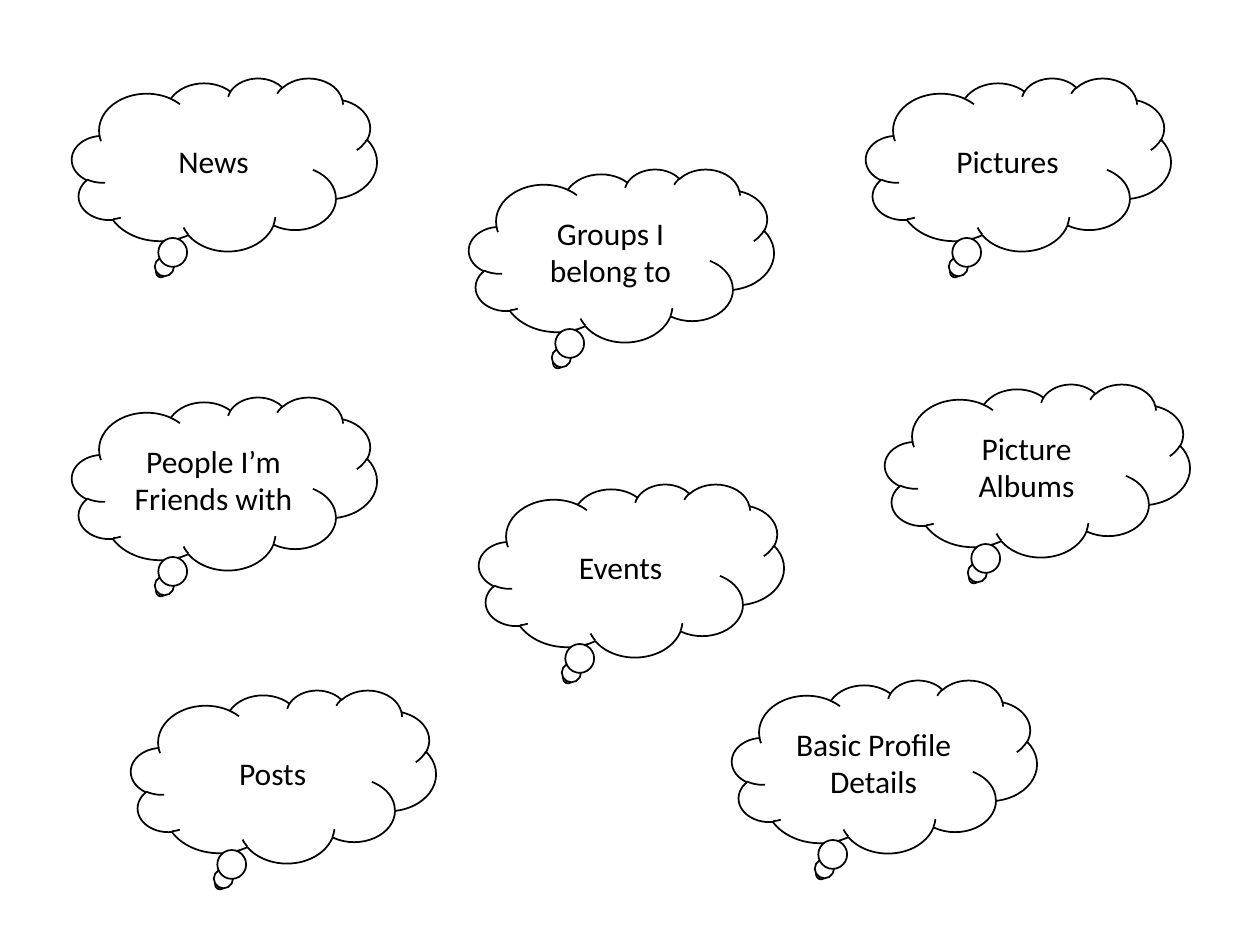
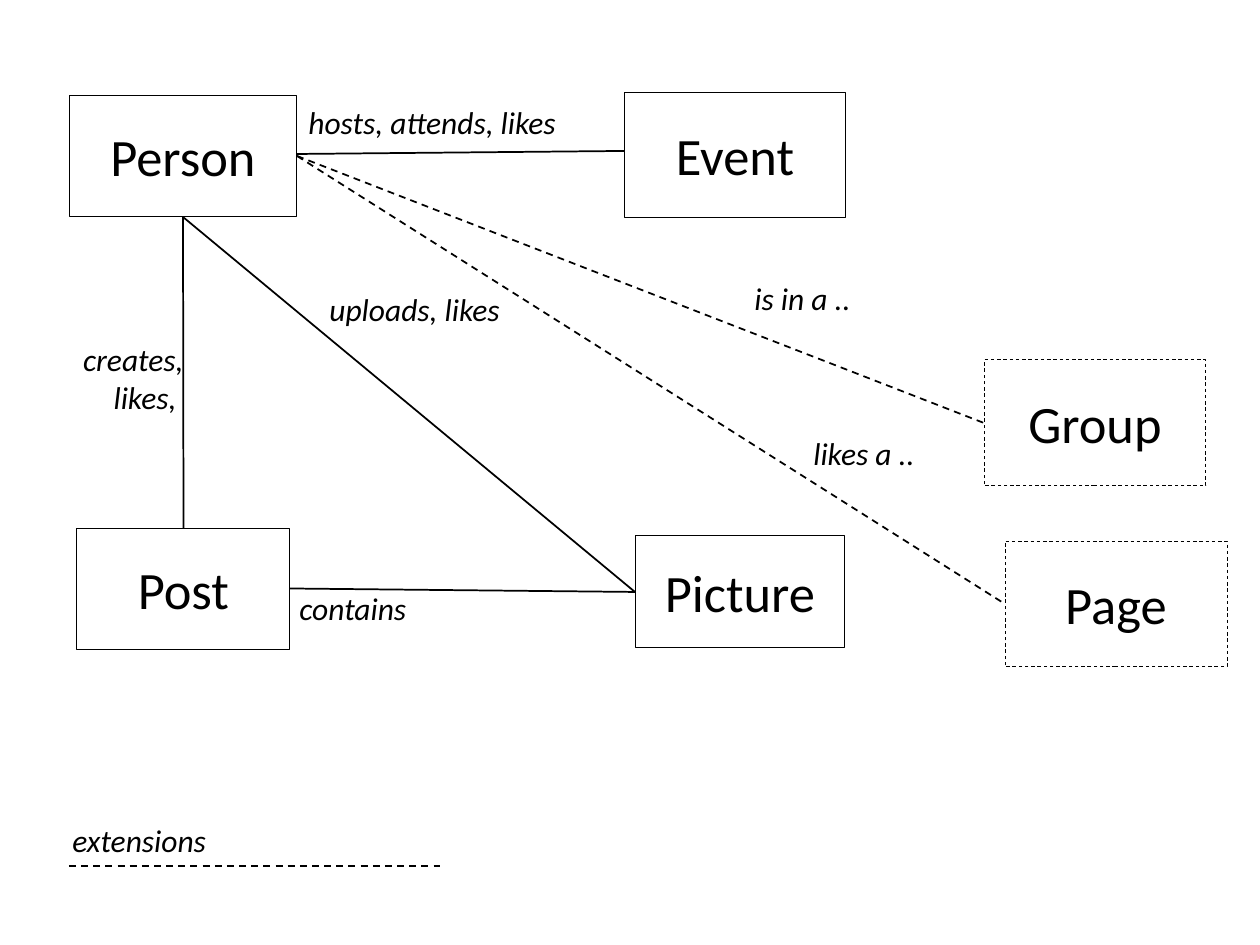
"""Builds two slides: a cloud of profile ideas and the entity diagram made from them."""
from lxml import etree
from pptx import Presentation
from pptx.dml.color import RGBColor
from pptx.enum.dml import MSO_LINE
from pptx.enum.shapes import MSO_CONNECTOR, MSO_SHAPE
from pptx.enum.text import MSO_ANCHOR, MSO_AUTO_SIZE, PP_ALIGN
from pptx.oxml.ns import qn
from pptx.util import Emu, Pt

CLOUD, RECTANGLE = MSO_SHAPE.CLOUD_CALLOUT, MSO_SHAPE.RECTANGLE
STRAIGHT, DASH = MSO_CONNECTOR.STRAIGHT, MSO_LINE.DASH
LEFT, CENTER, RIGHT = PP_ALIGN.LEFT, PP_ALIGN.CENTER, PP_ALIGN.RIGHT
MIDDLE, GROW = MSO_ANCHOR.MIDDLE, MSO_AUTO_SIZE.SHAPE_TO_FIT_TEXT

COLORS = {"ink": "000000", "paper": "FFFFFF"}
FONT = "Calibri"
SCALE = 914400 / 126
SMALL, LARGE = 18, 30

CLOUD_SIZE = (305, 173)
IDEAS = [
    ("Posts", 131, 690),
    ("Pictures", 866, 78),
    ("Picture Albums", 885, 384),
    ("News", 72, 78),
    ("Events", 479, 484),
    ("Basic Profile Details", 732, 680),
    ("People I\u2019m Friends with", 72, 397),
    ("Groups I belong to", 469, 169),
]

ENTITIES = {
    "Person": ((69, 95, 228, 122), False),
    "Picture": ((635, 536, 210, 112), False),
    "Post": ((77, 528, 213, 121), False),
    "Event": ((624, 92, 222, 126), False),
    "Group": ((984, 360, 222, 126), True),
    "Page": ((1005, 541, 222, 126), True),
}
LINKS = [
    ("Person", "bottom", "Post", "top"),
    ("Person", "right", "Event", "left"),
    ("Person", "bottom", "Picture", "left"),
    ("Post", "right", "Picture", "left"),
    ("Person", "right", "Group", "left"),
    ("Person", "right", "Page", "left"),
]
LIFTS = {"Event": (2, 4)}
LEGEND_LINE = ((69, 866), (445, 866))
LABELS = [
    (["hosts, attends, likes"], (296, 97, 285, 50), LEFT),
    (["uploads, likes"], (317, 284, 207, 50), LEFT),
    (["creates,", "likes, "], (60, 334, 136, 89), RIGHT),
    (["contains"], (287, 583, 142, 50), LEFT),
    (["is in a .. "], (742, 273, 131, 50), LEFT),
    (["likes a .."], (801, 428, 136, 50), LEFT),
    (["extensions"], (60, 815, 169, 50), LEFT),
]


def px(*lengths):
    return [Emu(round(length * SCALE)) for length in lengths]


def color(name):
    return RGBColor.from_string(COLORS[name])


def style_line(line, width, dashed=False):
    line.color.rgb = color("ink")
    line.width = Pt(width)
    if dashed:
        line.dash_style = DASH


def write(frame, lines, size, align, italic=None):
    frame.text = "\n".join(lines)
    for para in frame.paragraphs:
        para.alignment = align
        for span in para.runs:
            span.font.name = FONT
            span.font.size = Pt(size)
            span.font.italic = italic
            span.font.color.rgb = color("ink")


def add_box(page, kind, area, text, size, width, filled=False, dashed=False):
    box = page.shapes.add_shape(kind, *px(*area))
    box.shadow.inherit = False
    if filled:
        box.fill.solid()
        box.fill.fore_color.rgb = color("paper")
    else:
        box.fill.background()
    style_line(box.line, width, dashed)
    box.text_frame.word_wrap = True
    box.text_frame.vertical_anchor = MIDDLE
    write(box.text_frame, [text], size, CENTER)


def add_link(page, start, end, dashed):
    link = page.shapes.add_connector(STRAIGHT, *px(*start, *end))
    style_line(link.line, 1, dashed)
    etree.SubElement(link._element.spPr, qn("a:effectLst"))


def add_label(page, lines, area, align):
    label = page.shapes.add_textbox(*px(*area))
    label.text_frame.word_wrap = False
    label.text_frame.auto_size = GROW
    write(label.text_frame, lines, SMALL, align, italic=True)


def side_point(entity, side, lift=0):
    left, top, width, height = ENTITIES[entity][0]
    across = {"left": 0, "right": 1}.get(side, 0.5)
    down = {"top": 0, "bottom": 1}.get(side, 0.5)
    return left + width * across, top + height * down - lift


def build_ideas(page):
    for text, left, top in IDEAS:
        add_box(page, CLOUD, (left, top, *CLOUD_SIZE), text, SMALL, 1, filled=True)


def build_diagram(page):
    for name, (area, dashed) in ENTITIES.items():
        add_box(page, RECTANGLE, area, name, LARGE, 0.5, dashed=dashed)
    for source, source_side, target, target_side in LINKS:
        start_lift, end_lift = LIFTS.get(target, (0, 0))
        start = side_point(source, source_side, start_lift)
        end = side_point(target, target_side, end_lift)
        add_link(page, start, end, ENTITIES[target][1])
    add_link(page, *LEGEND_LINE, True)
    for lines, area, align in LABELS:
        add_label(page, lines, area, align)


deck = Presentation()
deck.slide_width, deck.slide_height = px(1260, 945)
for build in (build_ideas, build_diagram):
    build(deck.slides.add_slide(deck.slide_layouts[6]))
deck.save("out.pptx")
